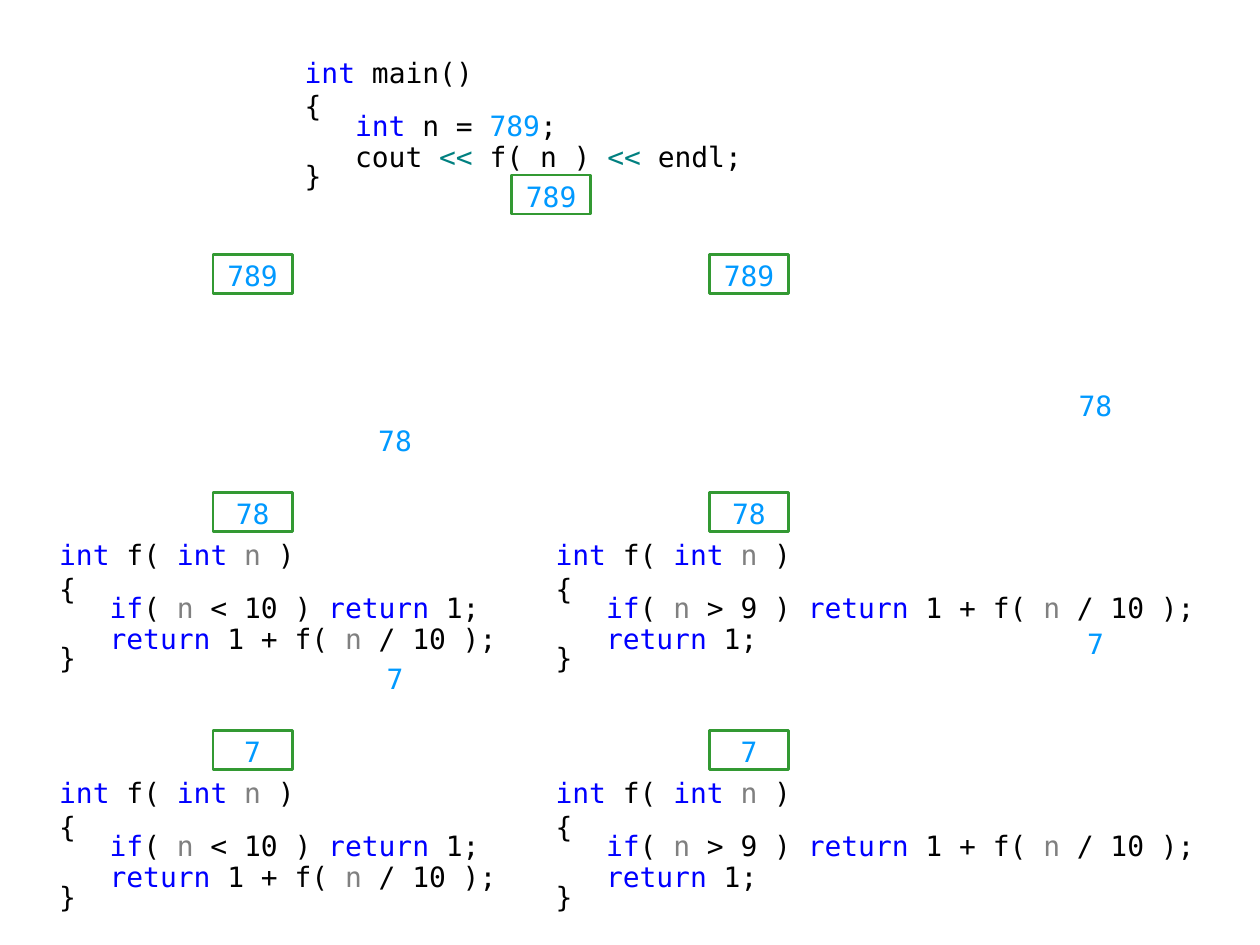
from pptx import Presentation
from pptx.dml.color import RGBColor
from pptx.enum.shapes import MSO_SHAPE
from pptx.enum.text import MSO_ANCHOR, PP_ALIGN
from pptx.util import Inches, Pt

RECT = MSO_SHAPE.RECTANGLE
TOP, MIDDLE = MSO_ANCHOR.TOP, MSO_ANCHOR.MIDDLE
LEFT, CENTER = PP_ALIGN.LEFT, PP_ALIGN.CENTER
BLACK = RGBColor(0x00, 0x00, 0x00)
WHITE = RGBColor(0xFF, 0xFF, 0xFF)
BLUE = RGBColor(0x00, 0x00, 0xFF)
SKY = RGBColor(0x00, 0x99, 0xFF)
GRAY = RGBColor(0x80, 0x80, 0x80)
TEAL = RGBColor(0x00, 0x80, 0x80)
GREEN = RGBColor(0x33, 0x99, 0x33)
FONT = "DejaVu Sans Mono"

INT, IF, RETURN = ("int", BLUE), ("if", BLUE), ("return", BLUE)
N, SHIFT = ("n", GRAY), ("<<", TEAL)
RECURSE = [RETURN, " 1 + f( ", N, " / 10 );"]
STOP = [RETURN, " 1;"]
MAIN_HEAD = [INT, " main()"]
MAIN_BODY = [[INT, " n = ", ("789", SKY), ";"],
             ["cout ", SHIFT, " f( n ) ", SHIFT, " endl;"]]
F_HEAD = [INT, " f( ", INT, " ", N, " )"]
LESS_BODY = [[IF, "( ", N, " < 10 ) "] + STOP, RECURSE]
MORE_BODY = [[IF, "( ", N, " > 9 ) "] + RECURSE, STOP]


def add_text(p, text, color=BLACK, size=16, align=LEFT, spacing=1.0, indent=0):
    p.alignment = align
    p.line_spacing = spacing
    p.space_before = Pt(0)
    pPr = p._p.get_or_add_pPr()
    pPr.set("marL", str(Inches(indent)))
    pPr.set("indent", "0")
    for part in text:
        words, tint = (part, color) if isinstance(part, str) else part
        r = p.add_run()
        r.text = words
        r.font.name = FONT
        r.font.size = Pt(size)
        r.font.color.rgb = tint


def set_frame(tf, insets, anchor, wrap):
    tf.margin_left, tf.margin_top, tf.margin_right, tf.margin_bottom = map(Inches, insets)
    tf.vertical_anchor = anchor
    tf.word_wrap = wrap


def add_code(s, box, head, body, insets=(0.04, 0.05, 0.04, 0.05)):
    tf = s.shapes.add_textbox(*map(Inches, box)).text_frame
    set_frame(tf, insets, TOP, True)
    lines = [(head, 1.0, 0), (["{"], 1.0, 0), (body[0], 0.5, 0.4),
             (body[1], 1.0, 0.4), (["}"], 0.5, 0)]
    for i, (text, spacing, indent) in enumerate(lines):
        p = tf.add_paragraph() if i else tf.paragraphs[0]
        add_text(p, text, spacing=spacing, indent=indent)


def add_value(s, box, value, line=GREEN, insets=(0.1, 0.02, 0.1, 0)):
    sp = s.shapes.add_shape(RECT, *map(Inches, box))
    sp.shadow.inherit = False
    sp.fill.background()
    sp.line.color.rgb = line
    sp.line.width = Pt(1.5)
    set_frame(sp.text_frame, insets, MIDDLE, False)
    add_text(sp.text_frame.paragraphs[0], [value], color=SKY, align=CENTER)


def add_calls(s, box, body, arg_left, arg_top, arg_insets):
    left, top, width, step = box
    values = ["789", "78", "7"]
    for i, value in enumerate(values):
        y = top + i * step
        if i:
            add_code(s, (left, y + 0.31, width, 1.1), F_HEAD, body)
            add_value(s, (arg_left, arg_top + (i - 1) * step, 0.47, 0.31), value,
                      line=WHITE, insets=arg_insets)
        add_value(s, (left + 1.26, y, 0.63, 0.31), value)


def main():
    prs = Presentation()
    prs.slide_width, prs.slide_height = Inches(10), Inches(7.5)
    s = prs.slides.add_slide(prs.slide_layouts[6])
    add_code(s, (2.32, 0.44, 3.78, 1.1), MAIN_HEAD, MAIN_BODY, insets=(0.1, 0, 0.1, 0.05))
    add_value(s, (4.06, 1.39, 0.63, 0.31), "789")
    add_calls(s, (0.43, 2.02, 3.62, 1.89), LESS_BODY, 2.95, 3.44, (0, 0, 0.1, 0.2))
    add_calls(s, (4.37, 2.02, 5.2, 1.89), MORE_BODY, 8.46, 3.12, (0.1, 0, 0.1, 0.12))
    prs.save("out.pptx")


if __name__ == "__main__":
    main()
